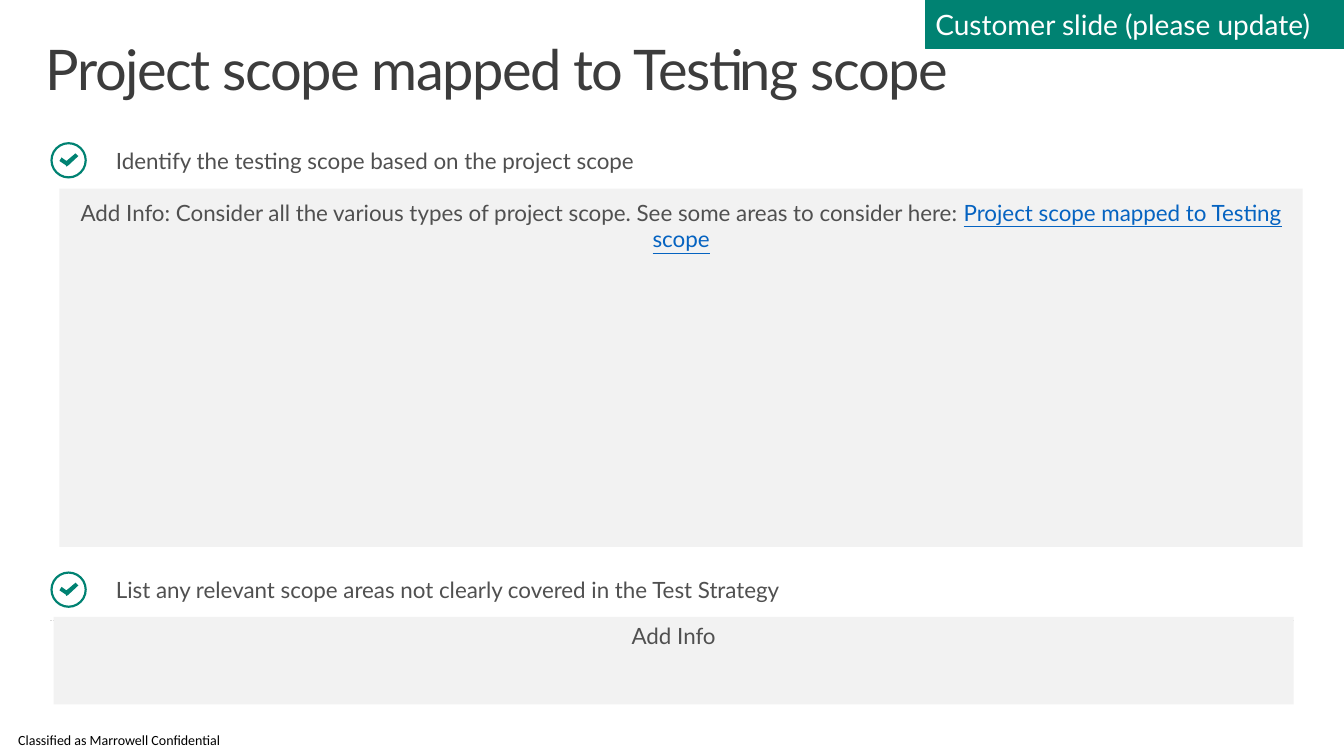
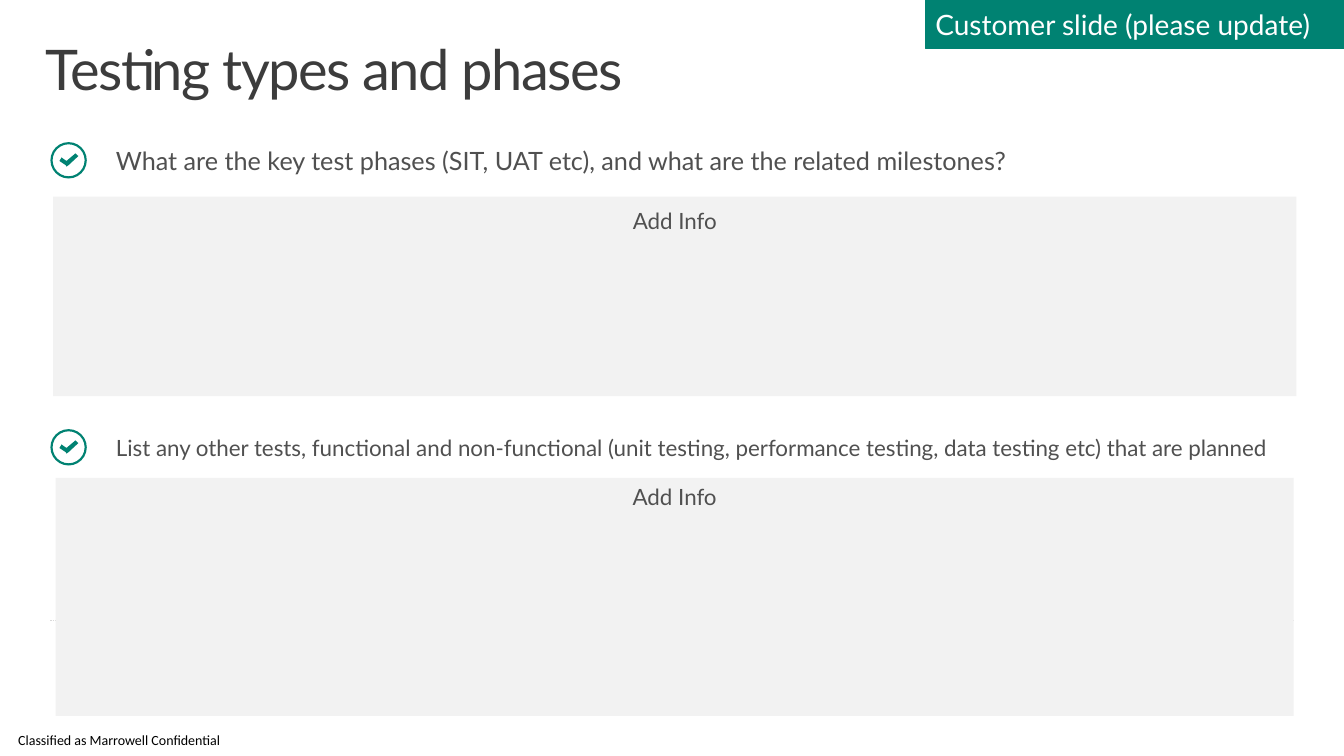
import pptx
import pptx.dml.color
import pptx.enum.dml
import pptx.enum.shapes
import pptx.enum.text
import pptx.oxml.ns
import pptx.util
from lxml import etree

Pt = pptx.util.Pt
SHAPE = pptx.enum.shapes.MSO_SHAPE
ALIGN = pptx.enum.text.PP_ALIGN
ANCHOR = pptx.enum.text.MSO_ANCHOR

SLIDE_WIDTH, SLIDE_HEIGHT = 960, 540
LEFT, RIGHT = 36, 924
ICON_SIZE = 26
HEADING_HEIGHT = 27
CHECK_MARK = [(18, 8), (11.5, 13.5), (8, 11), (6.5, 13.5), (11, 16.5),
              (11.5, 17.5), (13, 16.5), (20, 10)]


def rgb(color):
    return pptx.dml.color.RGBColor.from_string(color)


class Deck:
    font = "Lato"
    title_color = "3C3C3C"
    text_color = "505050"
    accent = "008272"
    panel_color = "F2F2F2"
    rule_color = "D9D9D9"
    link_color = "0563C1"

    def __init__(self):
        self.presentation = pptx.Presentation()
        self.presentation.slide_width = Pt(SLIDE_WIDTH)
        self.presentation.slide_height = Pt(SLIDE_HEIGHT)
        self.layout = self.presentation.slide_layouts[5]
        self.slide = None
        title = self.layout.placeholders[0]
        self.place(title, 21, 23, 918, 70.5)
        self.frame(title, ANCHOR.TOP, (11.5, 7.2, 11.5, 7.2))

    def place(self, shape, left, top, width, height):
        shape.left, shape.top = Pt(left), Pt(top)
        shape.width, shape.height = Pt(width), Pt(height)

    def frame(self, shape, anchor, insets):
        """Set anchor and insets (left, top, right, bottom) of a text frame."""
        frame = shape.text_frame
        frame.word_wrap = True
        frame.auto_size = pptx.enum.text.MSO_AUTO_SIZE.NONE
        frame.vertical_anchor = anchor
        (frame.margin_left, frame.margin_top,
         frame.margin_right, frame.margin_bottom) = map(Pt, insets)

    def add_text(self, shape, text, size, color, align=ALIGN.LEFT, font=font):
        """Add one run to the first paragraph and return it."""
        paragraph = shape.text_frame.paragraphs[0]
        paragraph.alignment = align
        run = paragraph.add_run()
        run.text = text
        run.font.name = font
        run.font.size = Pt(size)
        run.font.color.rgb = rgb(color)
        return run

    def paint(self, shape, color):
        shape.shadow.inherit = False
        shape.fill.solid()
        shape.fill.fore_color.rgb = rgb(color)
        shape.line.fill.background()

    def rectangle(self, box, color):
        shape = self.slide.shapes.add_shape(SHAPE.RECTANGLE, *map(Pt, box))
        self.paint(shape, color)
        return shape

    def new_slide(self, title):
        self.slide = self.presentation.slides.add_slide(self.layout)
        shape = self.slide.shapes.title
        run = self.add_text(shape, title, 40, self.title_color)
        run.font._element.set("spc", "-100")
        shape.text_frame.paragraphs[0].line_spacing = 0.9

    def layout_footer(self, text):
        """Put the footer on the layout, so that every slide shows it."""
        box = self.slide.shapes.add_textbox(Pt(13), Pt(519), Pt(167), Pt(21))
        self.frame(box, ANCHOR.MIDDLE, (0, 0, 0, 0))
        self.add_text(box, text, 10, "000000", font="Calibri")
        box.text_frame.paragraphs[0].line_spacing = 0.9
        self.layout.shapes.element.append(box.element)

    def heading(self, text, middle, size=16):
        """Add a check icon and its heading, both centred on one height."""
        shapes = self.slide.shapes.add_group_shape().shapes
        box = shapes.add_textbox(Pt(39.6), Pt(middle - HEADING_HEIGHT / 2),
                                 Pt(886), Pt(HEADING_HEIGHT))
        self.frame(box, ANCHOR.MIDDLE, (43.2, 3.6, 7.2, 3.6))
        self.add_text(box, text, size, self.text_color)

        top = middle - ICON_SIZE / 2
        ring = shapes.add_shape(SHAPE.DONUT, Pt(LEFT), Pt(top),
                                Pt(ICON_SIZE), Pt(ICON_SIZE))
        ring.adjustments[0] = 0.06
        self.paint(ring, self.accent)
        points = [(Pt(LEFT + x), Pt(top + y)) for x, y in CHECK_MARK]
        outline = shapes.build_freeform(*points[0])
        outline.add_line_segments(points[1:], close=True)
        self.paint(outline.convert_to_shape(), self.accent)

    def panel(self, box, text, top_inset=3.6, link_text=None):
        shape = self.rectangle(box, self.panel_color)
        self.frame(shape, ANCHOR.TOP, (7.2, top_inset, 7.2, 3.6))
        self.add_text(shape, text, 16, self.text_color, ALIGN.CENTER)
        if link_text:
            run = self.add_text(shape, link_text, 16, self.link_color, ALIGN.CENTER)
            run.font.underline = True

    def tag(self, text):
        shape = self.rectangle((661, 0, 299, 34.5), self.accent)
        shape.line.color.rgb = rgb(self.accent)
        shape.line.width = Pt(0.25)
        self.frame(shape, ANCHOR.MIDDLE, (7.2, 3.6, 7.2, 3.6))
        self.add_text(shape, text, 20, "FFFFFF")

    def dashed_rule(self, y):
        rule = self.slide.shapes.add_connector(
            pptx.enum.shapes.MSO_CONNECTOR.STRAIGHT, Pt(LEFT), Pt(y), Pt(RIGHT), Pt(y))
        rule.line.color.rgb = rgb(self.rule_color)
        rule.line.width = Pt(0.25)
        rule.line.dash_style = pptx.enum.dml.MSO_LINE.DASH
        etree.SubElement(rule.element.spPr, pptx.oxml.ns.qn("a:effectLst"))

    def scope_slide(self, title, first, second):
        """Add a slide with two sections, each a (heading, panel) pair of arguments."""
        self.new_slide(title)
        self.heading(**first[0])
        self.panel(top_inset=7.2, **first[1])
        self.tag("Customer slide (please update)")
        self.dashed_rule(443)
        self.heading(**second[0])
        self.panel(**second[1])


def main():
    deck = Deck()
    deck.scope_slide(
        "Project scope mapped to Testing scope",
        (dict(text="Identify the testing scope based on the project scope", middle=114.5),
         dict(box=(42.5, 134.7, 888, 256),
              text="Add Info: Consider all the various types of project scope. "
                   "See some areas to consider here: ",
              link_text="Project scope mapped to Testing scope")),
        (dict(text="List any relevant scope areas not clearly covered in the Test Strategy",
              middle=421.2),
         dict(box=(38.3, 440.6, 885.8, 62.6), text="Add Info")))
    deck.layout_footer("Classified as Marrowell Confidential")
    deck.scope_slide(
        "Testing types and phases",
        (dict(text="What are the key test phases (SIT, UAT etc), "
                   "and what are the related milestones?", middle=114.5, size=18),
         dict(box=(38, 140.5, 888, 142.5), text="Add Info")),
        (dict(text="List any other tests, functional and non-functional (unit testing, "
                   "performance testing, data testing etc) that are planned", middle=319.5),
         dict(box=(39.8, 341.3, 884.2, 170), text="Add Info")))
    deck.presentation.save("out.pptx")


if __name__ == "__main__":
    main()
